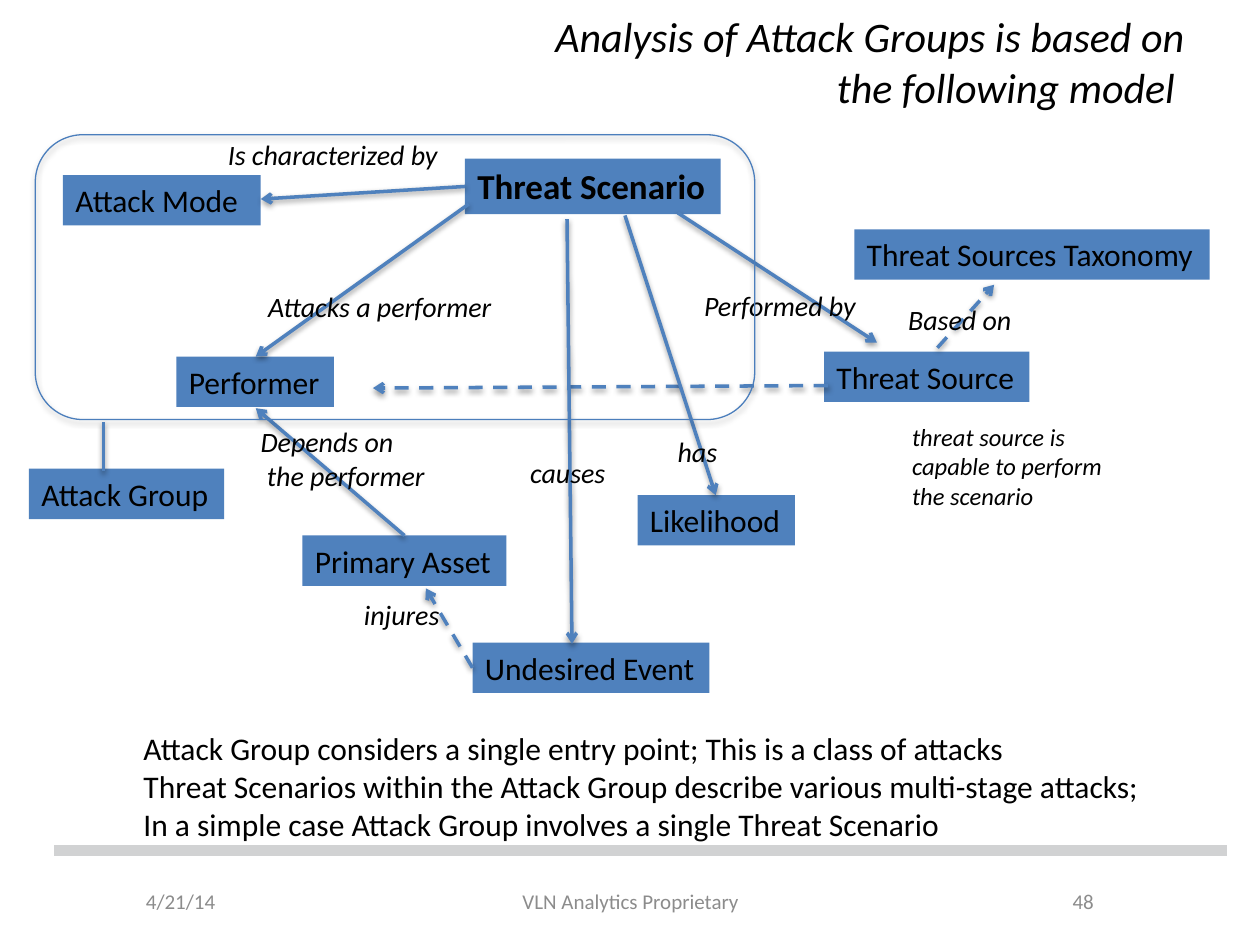
from lxml import etree
from pptx import Presentation
from pptx.dml.color import RGBColor
from pptx.enum.dml import MSO_LINE
from pptx.enum.shapes import MSO_CONNECTOR, MSO_SHAPE
from pptx.enum.text import MSO_ANCHOR, MSO_AUTO_SIZE, PP_ALIGN
from pptx.oxml.ns import qn
from pptx.util import Inches, Pt

FONT = "Calibri"
BLACK = RGBColor(0x00, 0x00, 0x00)
BLUE = RGBColor(0x4F, 0x81, 0xBD)
OUTLINE_BLUE = RGBColor(0x4B, 0x7E, 0xBC)
FOOTER_GRAY = RGBColor(0x8C, 0x8C, 0x8C)
RULE_GRAY = RGBColor(0xD1, 0xD2, 0xD3)
LEFT, CENTER, RIGHT = PP_ALIGN.LEFT, PP_ALIGN.CENTER, PP_ALIGN.RIGHT
TOP, MIDDLE = MSO_ANCHOR.TOP, MSO_ANCHOR.MIDDLE
FIT_SHAPE = MSO_AUTO_SIZE.SHAPE_TO_FIT_TEXT
DASH = MSO_LINE.DASH
STRAIGHT = MSO_CONNECTOR.STRAIGHT

# All positions in the diagram are inches from its top left corner.
# Entity: name, left, top, width
ENTITIES = [
    ("Performer", 1.2, 1.83, 1.25),
    ("Undesired Event", 3.55, 4.1, 1.88),
    ("Threat Source", 6.34, 1.79, 1.63),
    ("Threat Sources Taxonomy", 6.58, 0.82, 2.82),
    ("Primary Asset", 2.2, 3.25, 1.62),
    ("Likelihood", 4.86, 2.93, 1.25),
    ("Attack Mode ", 0.3, 0.39, 1.57),
    ("Attack Group", 0.03, 2.72, 1.55),
]
# Relation: start x, start y, end x, end y, dashed
RELATIONS = [
    (3.52, 0.62, 1.83, 1.83, False),
    (5.18, 0.69, 6.76, 1.72, False),
    (6.37, 2.06, 2.76, 2.08, True),
    (7.24, 1.76, 7.69, 1.26, True),
    (4.3, 0.74, 4.34, 4.11, False),
    (4.76, 0.71, 5.48, 2.93, False),
    (3.01, 3.25, 1.83, 2.24, False),
    (3.55, 4.3, 3.18, 3.67, True),
    (3.49, 0.48, 1.87, 0.58, False),
]
# Label: text, left, top, width, height, wraps
LABELS = [
    ("Attacks a performer", 1.83, 1.25, 2.06, 0.37, False),
    ("Performed by", 5.29, 1.24, 1.47, 0.37, False),
    ("Based on", 6.91, 1.35, 1.08, 0.37, False),
    ("has", 5.08, 2.4, 0.57, 0.37, False),
    ("causes", 3.91, 2.57, 0.86, 0.37, False),
    ("Depends on\v the performer", 1.77, 2.32, 1.57, 0.64, False),
    ("injures", 2.59, 3.69, 0.86, 0.37, False),
    ("Is characterized by", 1.51, 0.04, 2.03, 0.37, True),
]


def set_text(shape, text, size, color=BLACK, bold=False, italic=False,
             align=LEFT, anchor=TOP, wrap=False, auto_size=FIT_SHAPE):
    frame = shape.text_frame
    frame.text = text
    frame.word_wrap = wrap
    frame.auto_size = auto_size
    frame.vertical_anchor = anchor
    for paragraph in frame.paragraphs:
        paragraph.alignment = align
        font = paragraph.font
        font.name, font.size = FONT, Pt(size)
        font.bold, font.italic = bold, italic
        font.color.rgb = color


def add_text(slide, text, left, top, width, height, size, **style):
    box = slide.shapes.add_textbox(left, top, width, height)
    set_text(box, text, size, **style)


def add_entity(slide, name, left, top, width, height, size=18, bold=False):
    box = slide.shapes.add_shape(MSO_SHAPE.RECTANGLE, left, top, width, height)
    box.shadow.inherit = False
    box.fill.solid()
    box.fill.fore_color.rgb = BLUE
    box.line.fill.background()
    set_text(box, name, size, bold=bold)


def add_line(slide, start_x, start_y, end_x, end_y, color=BLUE, width=2):
    line = slide.shapes.add_connector(STRAIGHT, start_x, start_y, end_x, end_y)
    line.line.color.rgb = color
    line.line.width = Pt(width)
    return line


def add_title(slide, left, top, width, height):
    title = slide.shapes.title
    title.left, title.top, title.width, title.height = left, top, width, height
    set_text(title, "Analysis of Attack Groups is based on\vthe following model ",
             24, italic=True, align=RIGHT, anchor=MIDDLE, wrap=True,
             auto_size=MSO_AUTO_SIZE.NONE)


def add_diagram(slide, left, top):
    def place(x, y):
        return left + Inches(x), top + Inches(y)

    add_entity(slide, "Threat Scenario", *place(3.49, 0.26),
               Inches(2.03), Inches(0.44), size=20, bold=True)
    for name, x, y, width in ENTITIES:
        add_entity(slide, name, *place(x, y), Inches(width), Inches(0.4))

    for start_x, start_y, end_x, end_y, dashed in RELATIONS:
        arrow = add_line(slide, *place(start_x, start_y), *place(end_x, end_y))
        if dashed:
            arrow.line.dash_style = DASH
        outline = arrow.line._get_or_add_ln()
        etree.SubElement(outline, qn("a:tailEnd"), type="arrow")

    for text, x, y, width, height, wrap in LABELS:
        add_text(slide, text, *place(x, y), Inches(width), Inches(height),
                 16, italic=True, wrap=wrap)
    add_text(slide, "threat source is\vcapable to perform\vthe scenario",
             *place(6.94, 2.3), Inches(1.76), Inches(0.81),
             14, italic=True, wrap=True)

    group = slide.shapes.add_shape(MSO_SHAPE.ROUNDED_RECTANGLE,
                                   *place(0.08, 0.07), Inches(5.71), Inches(2.26))
    group.fill.background()
    group.line.color.rgb = OUTLINE_BLUE
    group.line.width = Pt(0.75)
    add_line(slide, *place(0.62, 2.35), *place(0.62, 2.74))


def add_summary(slide, left, top, width, height):
    lines = [
        "Attack Group considers a single entry point; This is a class of attacks",
        "Threat Scenarios within the Attack Group describe various multi-stage attacks;",
        "In a simple case Attack Group involves a single Threat Scenario",
    ]
    add_text(slide, "\n".join(lines), left, top, width, height, 18)


def add_footer(slide, left, top, width):
    rule = add_line(slide, left, top, left + width, top, RULE_GRAY, 6)
    etree.SubElement(rule._element.spPr, qn("a:effectLst"))
    parts = [
        ("4/21/14", 0.63, 1.77, LEFT),
        ("VLN Analytics Proprietary", 2.99, 3.17, CENTER),
        ("48", 6.74, 1.61, RIGHT),
    ]
    for text, x, part_width, align in parts:
        add_text(slide, text, left + Inches(x), top + Inches(0.2),
                 Inches(part_width), Inches(0.4), 12, color=FOOTER_GRAY,
                 align=align, anchor=MIDDLE, wrap=True,
                 auto_size=MSO_AUTO_SIZE.NONE)


def main():
    presentation = Presentation()
    presentation.slide_width, presentation.slide_height = Inches(10), Inches(7.5)
    slide = presentation.slides.add_slide(presentation.slide_layouts[5])
    add_footer(slide, Inches(0.43), Inches(6.75), Inches(9.31))
    add_title(slide, Inches(0.5), Inches(0.21), Inches(9), Inches(0.55))
    add_diagram(slide, Inches(0.2), Inches(1))
    add_summary(slide, Inches(1.04), Inches(5.74), Inches(8.19), Inches(1.01))
    presentation.save("out.pptx")


if __name__ == "__main__":
    main()
